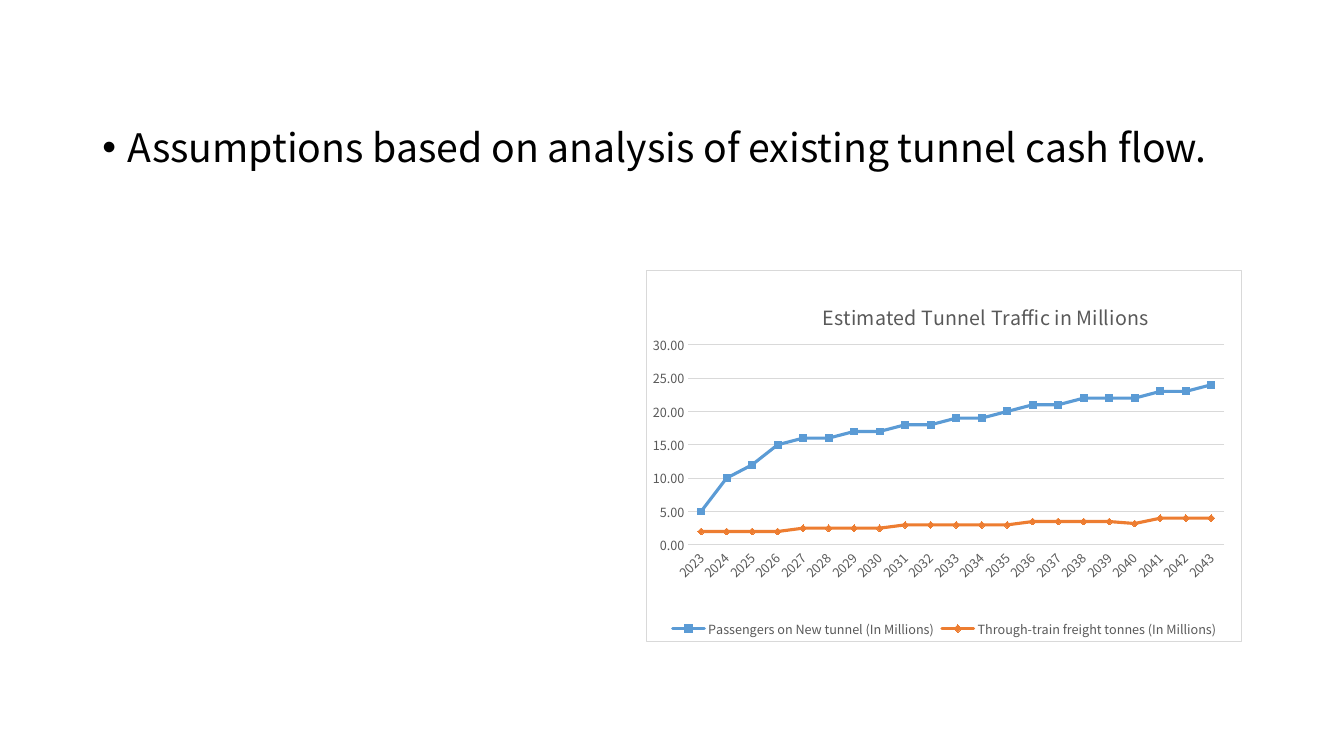
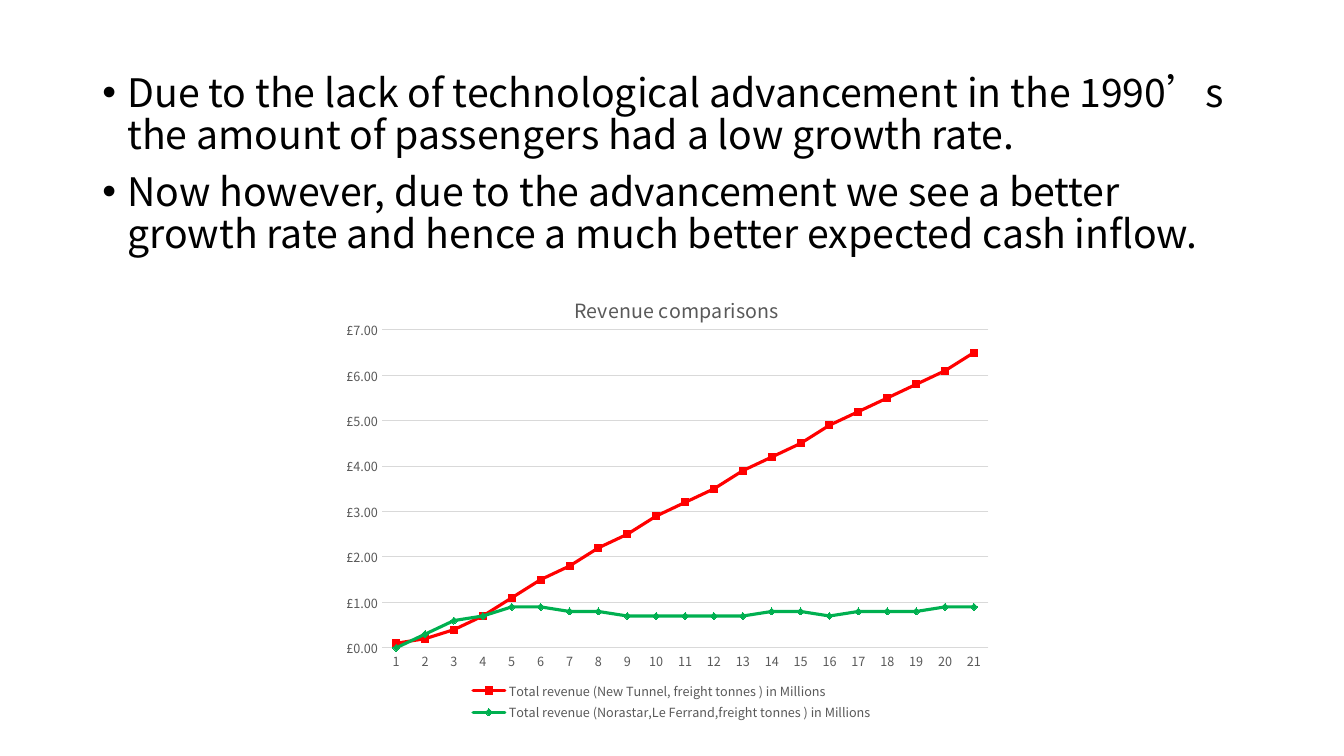
from lxml.etree import SubElement
from pptx import Presentation
from pptx.chart.data import CategoryChartData as ChartData
from pptx.dml.color import RGBColor
from pptx.enum.chart import XL_CHART_TYPE as ChartType
from pptx.enum.chart import XL_LEGEND_POSITION as LegendPosition
from pptx.enum.chart import XL_TICK_MARK as TickMark
from pptx.oxml import parse_xml
from pptx.oxml.ns import nsdecls, qn
from pptx.util import Pt

BLACK = RGBColor(0x00, 0x00, 0x00)
WHITE = RGBColor(0xFF, 0xFF, 0xFF)
GRAY = RGBColor(0x59, 0x59, 0x59)
LIGHT_GRAY = RGBColor(0xD9, 0xD9, 0xD9)
BLUE = RGBColor(0x5B, 0x9B, 0xD5)
ORANGE = RGBColor(0xED, 0x7D, 0x31)
RED = RGBColor(0xFF, 0x00, 0x00)
GREEN = RGBColor(0x00, 0xB0, 0x50)


def set_font(font, size, color, name="Noto Sans CJK SC", bold=False):
    font.size = Pt(size)
    font.name = name
    font.bold = bold
    font.color.rgb = color


def set_line(line, color, width=0.75):
    line.color.rgb = color
    line.width = Pt(width)


def manual_layout(inner=False, **fractions):
    target = '<c:layoutTarget val="inner"/>' if inner else ""
    modes = "".join(f'<c:{key}Mode val="edge"/>' for key in "xy")
    values = "".join(f'<c:{key} val="{value}"/>' for key, value in fractions.items())
    return parse_xml(
        f'<c:layout {nsdecls("c")}><c:manualLayout>{target}{modes}{values}'
        "</c:manualLayout></c:layout>"
    )


class Deck:
    def __init__(self):
        self.presentation = Presentation()
        self.presentation.slide_width = Pt(960)
        self.presentation.slide_height = Pt(540)
        self.slide = None

    def add_slide(self):
        self.slide = self.presentation.slides.add_slide(self.presentation.slide_layouts[6])

    def add_bullets(self, texts, top, line_spacing=0.9):
        shape = self.slide.shapes.add_textbox(Pt(66), Pt(top), Pt(828), Pt(486 - top))
        frame = shape.text_frame
        frame.word_wrap = True
        for index, text in enumerate(texts):
            paragraph = frame.paragraphs[0] if index == 0 else frame.add_paragraph()
            paragraph.line_spacing = line_spacing
            paragraph.space_before = Pt(10)
            run = paragraph.add_run()
            run.text = text
            set_font(run.font, 28, BLACK)
            properties = paragraph._p.get_or_add_pPr()
            properties.set("marL", str(Pt(18)))
            properties.set("indent", str(Pt(-18)))
            SubElement(properties, qn("a:buFont"), typeface="Arial")
            SubElement(properties, qn("a:buChar"), char="•")

    def add_line_chart(self, title, categories, series, box, plot, title_at,
                       number_format, maximum, step, framed=False):
        data = ChartData(number_format=number_format)
        data.categories = categories
        for name, values, _ in series:
            data.add_series(name, values)
        chart = self.slide.shapes.add_chart(
            ChartType.LINE, *(Pt(length) for length in box), data
        ).chart
        set_font(chart.font, 10, BLACK)
        self.style_title(chart, title, title_at)
        self.style_axes(chart, number_format, maximum, step)
        chart.has_legend = True
        chart.legend.position = LegendPosition.BOTTOM
        chart.legend.include_in_layout = False
        set_font(chart.legend.font, 9, GRAY)
        chart.plots[0].vary_by_categories = False
        for line, (_, _, color) in zip(chart.plots[0].series, series):
            line.smooth = False
            line.marker.style = None
            set_line(line.format.line, color, 2.25)
            line.format.line._get_or_add_ln().set("cap", "rnd")
        plot_area = chart._chartSpace.chart.plotArea
        for layout in plot_area.findall(qn("c:layout")):
            plot_area.remove(layout)
        plot_area.insert(0, manual_layout(True, **dict(zip("xywh", plot))))
        if framed:
            self.frame_chart(chart)

    def style_title(self, chart, title, title_at):
        chart.has_title = True
        chart.chart_title.include_in_layout = False
        paragraph = chart.chart_title.text_frame.paragraphs[0]
        run = paragraph.add_run()
        run.text = title
        set_font(run.font, 14, GRAY)
        element = chart.chart_title._element
        for layout in element.findall(qn("c:layout")):
            element.remove(layout)
        element.find(qn("c:tx")).addnext(manual_layout(**dict(zip("xy", title_at))))

    def style_axes(self, chart, number_format, maximum, step):
        for axis in (chart.category_axis, chart.value_axis):
            axis.major_tick_mark = TickMark.NONE
            axis.minor_tick_mark = TickMark.NONE
            set_font(axis.tick_labels.font, 9, GRAY)
        set_line(chart.category_axis.format.line, LIGHT_GRAY)
        axis = chart.value_axis
        axis.format.line.fill.background()
        axis.has_major_gridlines = True
        set_line(axis.major_gridlines.format.line, LIGHT_GRAY)
        axis.minimum_scale = 0
        axis.maximum_scale = maximum
        axis.major_unit = step
        axis.tick_labels.number_format = number_format
        axis.tick_labels.number_format_is_linked = False

    def frame_chart(self, chart):
        properties = parse_xml(
            f'<c:spPr {nsdecls("c", "a")}>'
            f'<a:solidFill><a:srgbClr val="{WHITE}"/></a:solidFill>'
            f'<a:ln w="{Pt(0.75)}"><a:solidFill><a:srgbClr val="{LIGHT_GRAY}"/>'
            "</a:solidFill></a:ln></c:spPr>"
        )
        chart._chartSpace.chart.addnext(properties)


def build_traffic_slide(deck):
    deck.add_slide()
    deck.add_bullets(["Assumptions based on analysis of existing tunnel cash flow."], top=88)
    passengers = [5, 10, 12, 15, 16, 16, 17, 17, 18, 18, 19, 19, 20, 21, 21, 22, 22, 22, 23, 23, 24]
    freight = [2] * 4 + [2.5] * 4 + [3] * 5 + [3.5] * 4 + [3.2] + [4] * 3
    deck.add_line_chart(
        "Estimated Tunnel Traffic in Millions",
        [str(year) for year in range(2023, 2044)],
        [
            ("Passengers on New tunnel (In Millions)", passengers, BLUE),
            ("Through-train freight tonnes (In Millions)", freight, ORANGE),
        ],
        box=(461.5, 193, 426, 265.5),
        plot=(0.07, 0.2, 0.9, 0.54),
        title_at=(0.29, 0.07),
        number_format="0.00",
        maximum=30,
        step=5,
        framed=True,
    )


def build_revenue_slide(deck):
    deck.add_slide()
    deck.add_bullets(
        [
            "Due to the lack of technological advancement in the 1990’s "
            "the amount of passengers had a low growth rate.",
            "Now however, due to the advancement we see a better growth rate "
            "and hence a much better expected cash inflow.",
        ],
        top=49,
    )
    new_tunnel = [0.1, 0.2, 0.4, 0.7, 1.1, 1.5, 1.8, 2.2, 2.5, 2.9, 3.2,
                  3.5, 3.9, 4.2, 4.5, 4.9, 5.2, 5.5, 5.8, 6.1, 6.5]
    existing = [0, 0.3, 0.6, 0.7, 0.9, 0.9, 0.8, 0.8, 0.7, 0.7, 0.7,
                0.7, 0.7, 0.8, 0.8, 0.7, 0.8, 0.8, 0.8, 0.9, 0.9]
    deck.add_line_chart(
        "Revenue comparisons",
        [str(year) for year in range(1, 22)],
        [
            ("Total revenue (New Tunnel, freight tonnes ) in Millions", new_tunnel, RED),
            ("Total revenue (Norastar,Le Ferrand,freight tonnes ) in Millions", existing, GREEN),
        ],
        box=(239, 193.5, 481.5, 324.5),
        plot=(0.07, 0.13, 0.9, 0.7),
        title_at=(0.35, 0.04),
        number_format="[$£-809]#,##0.00;[Red][$£-809]#,##0.00",
        maximum=7,
        step=1,
    )


def main():
    deck = Deck()
    build_traffic_slide(deck)
    build_revenue_slide(deck)
    deck.presentation.save("out.pptx")


if __name__ == "__main__":
    main()
